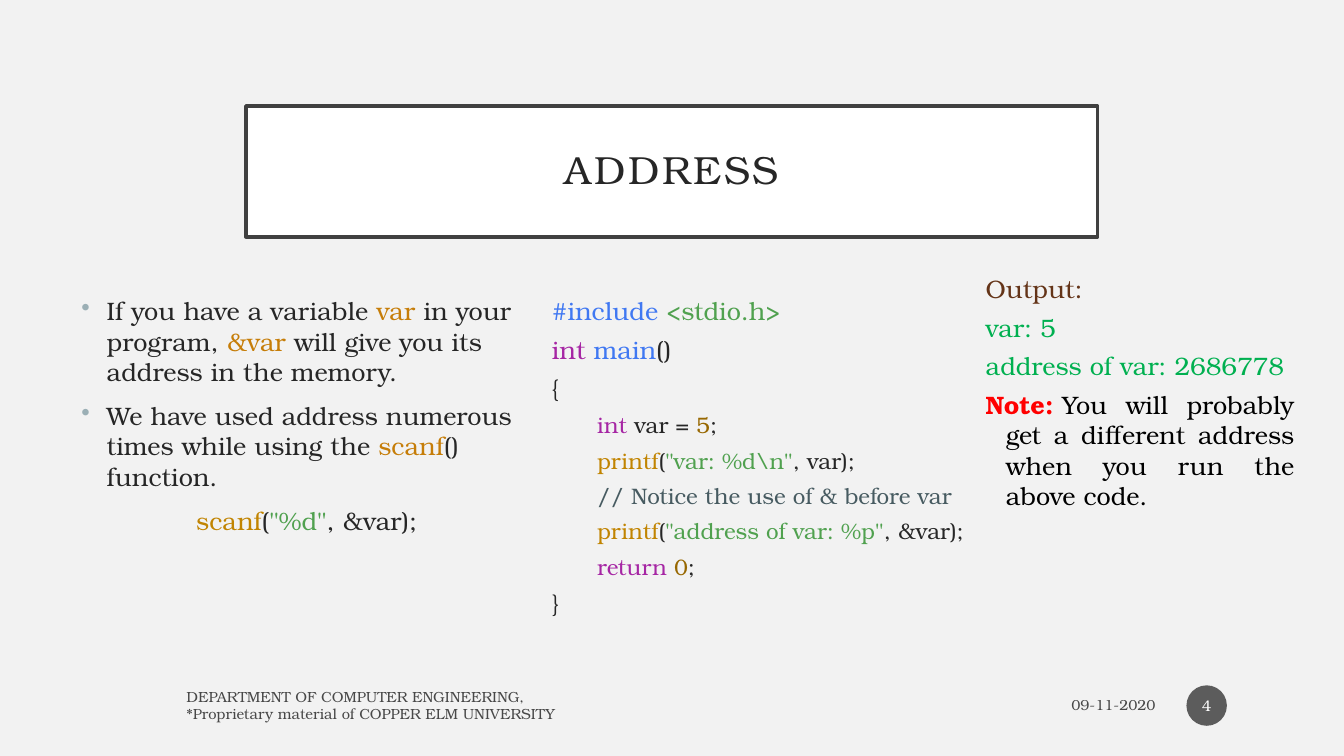
from dataclasses import dataclass

from lxml.etree import SubElement
from pptx import Presentation
from pptx.dml.color import RGBColor
from pptx.enum.shapes import MSO_SHAPE as Preset
from pptx.enum.text import MSO_ANCHOR as Anchor, PP_ALIGN as Align
from pptx.oxml.ns import qn
from pptx.util import Cm, Pt


@dataclass(frozen=True)
class Theme:
    """Font, type sizes in points and colours."""
    font: str = "TeX Gyre Bonum"
    title_size: float = 28
    body_size: float = 18
    code_size: float = 16
    footer_size: float = 10.5
    number_size: float = 11
    opacity: int = 70
    background: str = "F2F2F2"
    white: str = "FFFFFF"
    black: str = "000000"
    frame: str = "404040"
    badge: str = "1D1D1D"
    bullet: str = "9BAFB5"
    text: str = "262626"
    variable: str = "C67D08"
    function: str = "C18401"
    string: str = "50A14F"
    name: str = "4078F2"
    keyword: str = "A626A4"
    number: str = "986801"
    comment: str = "475B61"
    heading: str = "643418"
    output: str = "00B050"
    note: str = "FF0000"


THEME = Theme()

# A paragraph is a list of (text, theme colour) runs.
TITLE = [[("ADDRESS", "text")]]
EXPLANATION = [
    [("If you have a variable\u00a0", "text"), ("var", "variable"),
     ("\u00a0in your program,", "text"), ("\u00a0&var", "variable"),
     ("\u00a0will give you its address in the memory.", "text")],
    [("We have used address numerous times while using the ", "text"),
     ("scanf", "variable"), ("() function.", "text")],
]
SCANF_CALL = [[("scanf", "function"), ("(", "text"), ('"%d"', "string"), (", &var);", "text")]]
CODE_START = [
    [("#include ", "name"), ("<stdio.h>", "string")],
    [("int ", "keyword"), ("main", "name"), ("()", "text")],
    [("{", "text")],
]
CODE_BODY = [
    [("int ", "keyword"), ("var = ", "text"), ("5", "number"), (";", "text")],
    [("printf", "function"), ("(", "text"), ('"var: %d\\n"', "string"), (", var);", "text")],
    [("// Notice the use of & before var", "comment")],
    [("printf", "function"), ("(", "text"), ('"address of var: %p"', "string"),
     (", &var);", "text")],
    [("return ", "keyword"), ("0", "number"), (";", "text")],
]
CODE_END = [[("}", "text")]]
OUTPUT = [
    [("Output:", "heading")],
    [("var: 5", "output")],
    [("address of var: 2686778", "output")],
]
NOTE = [[("Note:", "note"), ("\u00a0You will probably get a different address "
                             "when you run the above code.", "black")]]
FOOTER = [
    [("DEPARTMENT OF COMPUTER ENGINEERING,", "black")],
    [("*Proprietary material of COPPER ELM UNIVERSITY", "black")],
]
DATE = [[("09-11-2020", "black")]]
PAGE_NUMBER = [[("4", "white")]]

# Left, top, width, height in centimetres.
COLUMN_TOP, COLUMN_WIDTH, COLUMN_HEIGHT = 7.32, 11.86, 8.61
FOOTER_TOP, FOOTER_HEIGHT = 17.32, 0.89
TITLE_BOX = (6.2, 2.67, 21.46, 3.3)
EXPLANATION_BOX = (1.8, COLUMN_TOP, COLUMN_WIDTH, COLUMN_HEIGHT)
CODE_BOX = (13.56, COLUMN_TOP, COLUMN_WIDTH, COLUMN_HEIGHT)
OUTPUT_BOX = (24.49, 6.76, 8.38, 7.52)
FOOTER_BOX = (4.45, FOOTER_TOP, 16.38, FOOTER_HEIGHT)
DATE_BOX = (21.72, FOOTER_TOP, 7.65, FOOTER_HEIGHT)
BADGE_BOX = (29.9, 17.27, 1.02, 1.02)

# Paragraph formats: left margin and first-line indent in centimetres.
LIST = dict(size=THEME.body_size, margin=0.64, indent=-0.64, before=10)
HANGING = dict(size=THEME.body_size, margin=0.61, indent=-0.51, before=6)
CODE = dict(size=THEME.code_size, margin=1.24, before=6)
SMALL = dict(size=THEME.footer_size, opacity=THEME.opacity)


def rgb(name):
    """Return a theme colour by name."""
    return RGBColor.from_string(getattr(THEME, name))


def set_opacity(element, percent):
    """Make every solid colour below an element translucent."""
    for colour in element.iter(qn("a:srgbClr")):
        SubElement(colour, qn("a:alpha"), val=str(percent * 1000))


def add_bullet(properties):
    """Give paragraph properties a round coloured bullet."""
    colour = SubElement(properties, qn("a:buClr"))
    SubElement(colour, qn("a:srgbClr"), val=THEME.bullet)
    SubElement(properties, qn("a:buChar"), char="\u2022")


def add_text(shape, paragraphs, size, align=Align.LEFT, margin=0, indent=0, before=0,
             line_spacing=None, bullet=False, bold_colour=None, opacity=None, tracking=0):
    """Append paragraphs of coloured runs in one format to a shape."""
    frame = shape.text_frame
    for runs in paragraphs:
        paragraph = frame.paragraphs[-1]
        if paragraph.runs:
            paragraph = frame.add_paragraph()
        paragraph.alignment = align
        paragraph.space_before = Pt(before)
        paragraph.line_spacing = line_spacing
        properties = paragraph._p.get_or_add_pPr()
        properties.set("marL", str(Cm(margin)))
        properties.set("indent", str(Cm(indent)))
        if bullet:
            add_bullet(properties)
        for text, colour in runs:
            run = paragraph.add_run()
            run.text = text
            run.font.name = THEME.font
            run.font.size = Pt(size)
            run.font.bold = colour == bold_colour
            run.font.color.rgb = rgb(colour)
            run_properties = run._r.get_or_add_rPr()
            if tracking:
                run_properties.set("spc", str(tracking * 100))
            if opacity:
                set_opacity(run_properties, opacity)


def set_frame(shape, anchor, inset_x=0.25, inset_y=0.13):
    """Set wrapping, anchor and insets of a shape's text."""
    frame = shape.text_frame
    frame.word_wrap = True
    frame.vertical_anchor = anchor
    frame.margin_left = frame.margin_right = Cm(inset_x)
    frame.margin_top = frame.margin_bottom = Cm(inset_y)


def add_box(slide, box, anchor=Anchor.TOP):
    """Add an empty wrapping text box."""
    shape = slide.shapes.add_textbox(*map(Cm, box))
    set_frame(shape, anchor)
    return shape


def add_filled(slide, preset, box, fill, inset_x, inset_y):
    """Add a flat filled shape with no outline and centred text."""
    shape = slide.shapes.add_shape(preset, *map(Cm, box))
    shape.shadow.inherit = False
    shape.fill.solid()
    shape.fill.fore_color.rgb = rgb(fill)
    shape.line.fill.background()
    set_frame(shape, Anchor.MIDDLE, inset_x, inset_y)
    return shape


presentation = Presentation()
presentation.slide_width, presentation.slide_height = Cm(33.87), Cm(19.05)
slide = presentation.slides.add_slide(presentation.slide_layouts[6])
slide.background.fill.solid()
slide.background.fill.fore_color.rgb = rgb("background")

title = add_filled(slide, Preset.RECTANGLE, TITLE_BOX, "white", 0.51, 0.51)
title.line.color.rgb = rgb("frame")
title.line.width = Pt(2.5)
add_text(title, TITLE, THEME.title_size, align=Align.CENTER, line_spacing=0.9, tracking=2)

explanation = add_box(slide, EXPLANATION_BOX)
add_text(explanation, EXPLANATION, bullet=True, **LIST)
add_text(explanation, SCANF_CALL, align=Align.CENTER, **LIST)

code = add_box(slide, CODE_BOX)
add_text(code, CODE_START, **HANGING)
add_text(code, CODE_BODY, **CODE)
add_text(code, CODE_END, **HANGING)

add_text(add_box(slide, FOOTER_BOX, Anchor.MIDDLE), FOOTER, **SMALL)
add_text(add_box(slide, DATE_BOX, Anchor.MIDDLE), DATE, align=Align.RIGHT, **SMALL)

badge = add_filled(slide, Preset.OVAL, BADGE_BOX, "badge", 0.05, 0.13)
set_opacity(badge.fill._xPr, THEME.opacity)
add_text(badge, PAGE_NUMBER, THEME.number_size, align=Align.CENTER)

output = add_box(slide, OUTPUT_BOX)
add_text(output, OUTPUT, **HANGING)
add_text(output, NOTE, align=Align.JUSTIFY, bold_colour="note", **HANGING)

presentation.save("out.pptx")
